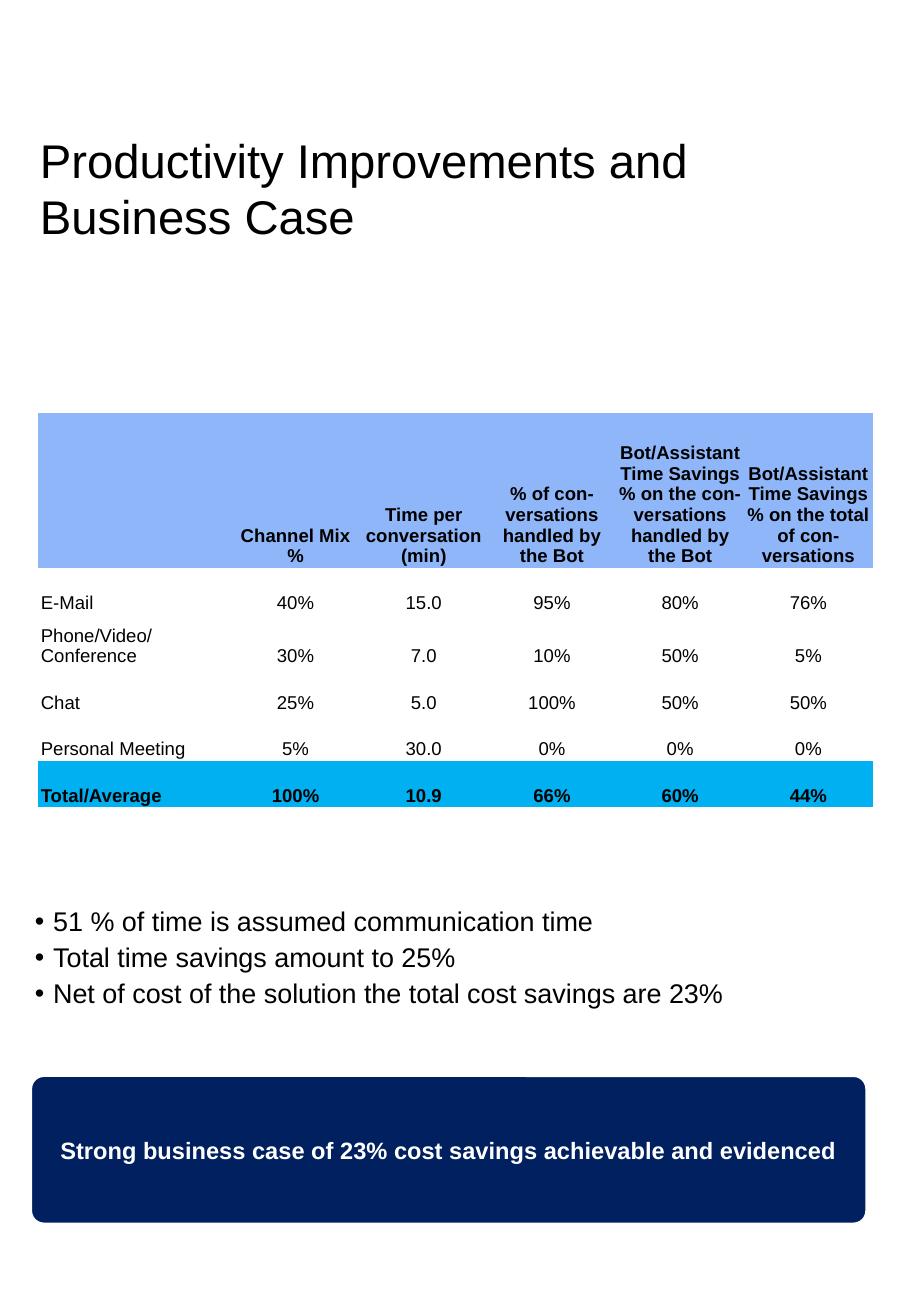
from lxml import etree
from pptx import Presentation
from pptx.dml.color import RGBColor
from pptx.enum.shapes import MSO_SHAPE
from pptx.enum.text import MSO_ANCHOR, PP_ALIGN
from pptx.oxml.ns import qn
from pptx.util import Pt

BLACK = RGBColor(0x00, 0x00, 0x00)
WHITE = RGBColor(0xFF, 0xFF, 0xFF)
HEADER_BLUE = RGBColor(0x8E, 0xB6, 0xF8)
TOTAL_BLUE = RGBColor(0x00, 0xB0, 0xF0)
NAVY = RGBColor(0x00, 0x20, 0x60)
LEFT, CENTER = PP_ALIGN.LEFT, PP_ALIGN.CENTER
MIDDLE, BOTTOM = MSO_ANCHOR.MIDDLE, MSO_ANCHOR.BOTTOM
ROUNDED = MSO_SHAPE.ROUNDED_RECTANGLE
PLAIN_TABLE = "{2D5ABB26-0587-4C30-8999-92F81FD0307C}"
TITLE_ONLY = 5

SAVINGS = [
    ["", "Channel Mix %", "Time per conversation (min)",
     "% of con-versations handled by the Bot",
     "Bot/Assistant Time Savings % on the con-versations handled by the Bot",
     "Bot/Assistant Time Savings % on the total of con-versations"],
    ["E-Mail", "40%", "15.0", "95%", "80%", "76%"],
    ["Phone/Video/Conference", "30%", "7.0", "10%", "50%", "5%"],
    ["Chat", "25%", "5.0", "100%", "50%", "50%"],
    ["Personal Meeting", "5%", "30.0", "0%", "0%", "0%"],
    ["Total/Average", "100%", "10.9", "66%", "60%", "44%"],
]
COLUMN_WIDTHS = [114.5] + [76] * 5
ROW_HEIGHTS = [91.8, 27.6, 31.7, 27.6, 27.6, 27.6]
ASSUMPTIONS = [
    "51 % of time is assumed communication time",
    "Total time savings amount to 25%",
    "Net of cost of the solution the total cost savings are 23%",
]


class SlideBuilder:
    """Adds styled elements to one slide, measured in points."""

    def __init__(self, slide, font="Arial"):
        self.slide = slide
        self.font = font

    def format_para(self, para, size, color=BLACK, bold=False, align=LEFT):
        para.alignment = align
        for span in para.runs:
            span.font.name = self.font
            span.font.size = Pt(size)
            span.font.bold = bold
            span.font.color.rgb = color

    def set_margins(self, holder, across, down):
        holder.margin_left = holder.margin_right = Pt(across)
        holder.margin_top = holder.margin_bottom = Pt(down)

    def title(self, text, left, top, width, height):
        box = self.slide.shapes.title
        box.left, box.top, box.width, box.height = map(Pt, (left, top, width, height))
        frame = box.text_frame
        frame.text = text
        frame.word_wrap = True
        frame.vertical_anchor = MIDDLE
        self.set_margins(frame, 5, 5)
        self.format_para(frame.paragraphs[0], 28)

    def table(self, rows, left, top, widths, heights):
        table = self.slide.shapes.add_table(
            len(rows), len(widths), Pt(left), Pt(top),
            Pt(sum(widths)), Pt(sum(heights))).table
        table.horz_banding = False
        table._tbl.tblPr.find(qn("a:tableStyleId")).text = PLAIN_TABLE
        for column, width in zip(table.columns, widths):
            column.width = Pt(width)
        for row, height in zip(table.rows, heights):
            row.height = Pt(height)
        fills = {0: HEADER_BLUE, len(rows) - 1: TOTAL_BLUE}
        for row_index, values in enumerate(rows):
            for column_index, value in enumerate(values):
                cell = table.cell(row_index, column_index)
                cell.text_frame.text = value
                cell.vertical_anchor = BOTTOM
                self.set_margins(cell, 1.5, 0.75)
                if row_index in fills:
                    cell.fill.solid()
                    cell.fill.fore_color.rgb = fills[row_index]
                else:
                    cell.fill.background()
                self.format_para(cell.text_frame.paragraphs[0], 11,
                                 bold=row_index in fills,
                                 align=CENTER if column_index else LEFT)

    def bullets(self, lines, left, top, width, height):
        box = self.slide.shapes.add_textbox(Pt(left), Pt(top), Pt(width), Pt(height))
        frame = box.text_frame
        frame.text = "\n".join(lines)
        frame.word_wrap = True
        frame.vertical_anchor = MIDDLE
        self.set_margins(frame, 2, 2)
        for index, para in enumerate(frame.paragraphs):
            self.format_para(para, 16)
            para.space_before = Pt(2.2 if index else 0)
            properties = para._p.get_or_add_pPr()
            properties.set("marL", str(Pt(10.8)))
            properties.set("indent", str(-Pt(10.8)))
            etree.SubElement(properties, qn("a:buFont"), typeface=self.font)
            etree.SubElement(properties, qn("a:buChar"), char="•")

    def banner(self, text, left, top, width, height):
        box = self.slide.shapes.add_shape(ROUNDED, Pt(left), Pt(top), Pt(width), Pt(height))
        box.adjustments[0] = 0.084
        box.shadow.inherit = False
        box.fill.solid()
        box.fill.fore_color.rgb = NAVY
        box.line.color.rgb = WHITE
        box.line.width = Pt(0.75)
        frame = box.text_frame
        frame.text = text
        frame.word_wrap = True
        frame.vertical_anchor = MIDDLE
        self.set_margins(frame, 5, 3)
        self.format_para(frame.paragraphs[0], 14, WHITE, True, CENTER)


def main():
    deck = Presentation()
    deck.slide_width, deck.slide_height = Pt(540), Pt(780)
    page = SlideBuilder(deck.slides.add_slide(deck.slide_layouts[TITLE_ONLY]))
    page.title("Productivity Improvements and Business Case", 18.7, 67.7, 503.3, 87)
    page.table(SAVINGS, 22.7, 244.8, COLUMN_WIDTHS, ROW_HEIGHTS)
    page.bullets(ASSUMPTIONS, 18.7, 516.2, 487.4, 102.2)
    page.banner("Strong business case of 23% cost savings achievable and evidenced",
                18.7, 638, 494.6, 87)
    deck.save("out.pptx")


if __name__ == "__main__":
    main()
